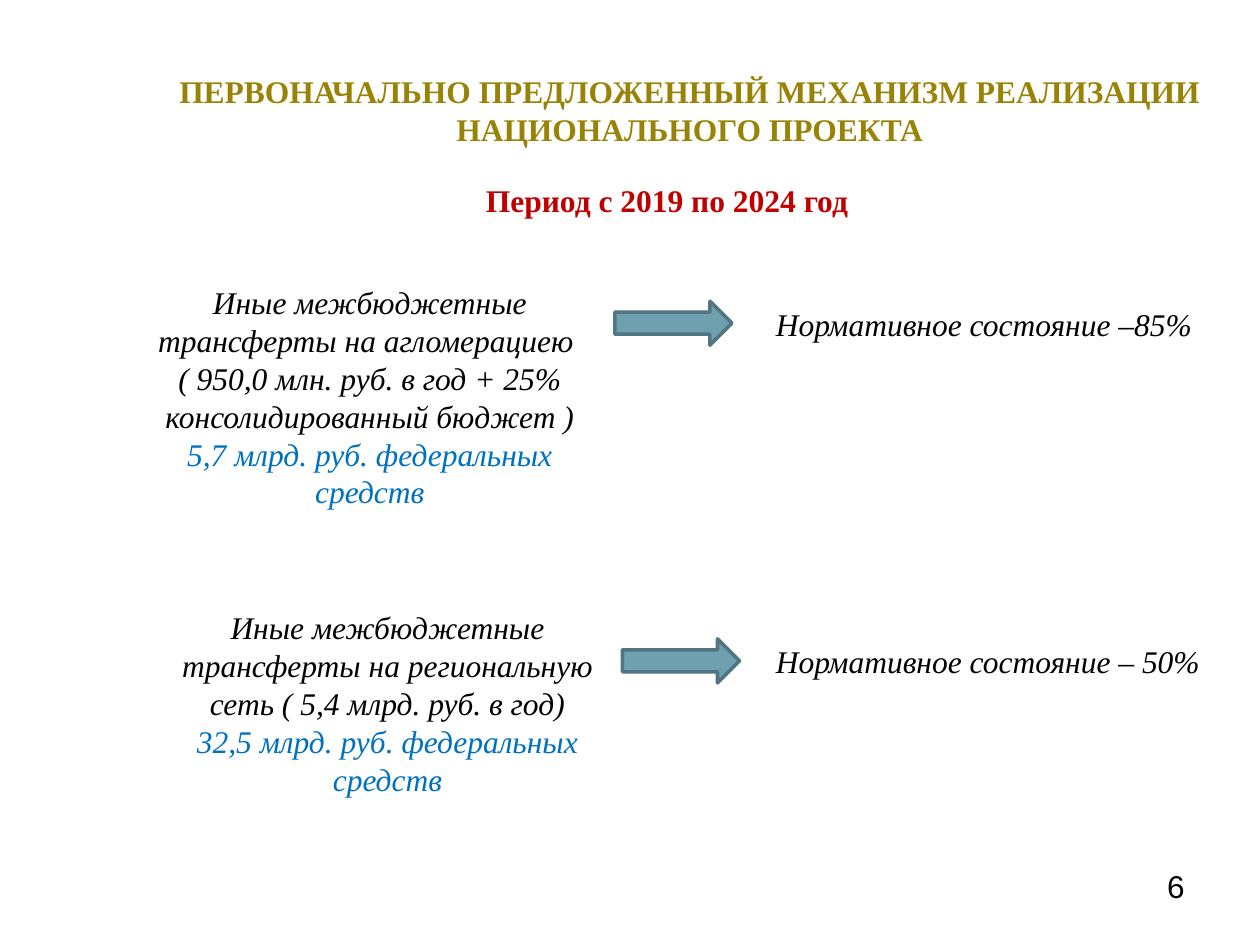
from pptx import Presentation
from pptx.dml.color import RGBColor
from pptx.enum.shapes import MSO_SHAPE
from pptx.enum.text import MSO_ANCHOR, PP_ALIGN
from pptx.util import Inches, Pt

BLACK, BLUE, RED, GOLD = "000000", "0070C0", "C00000", "998307"
ARROW_FILL, ARROW_LINE = "6EA0B0", "517682"
SERIF, SANS = "Times New Roman", "Arial"

# Each row: funding box, funding paragraphs, arrow position, result top, result
ROWS = [
    ((1.08, 2.2, 3.71, 1.92),
     [("Иные межбюджетные трансферты на агломерациею ", BLACK),
      ("( 950,0 млн. руб. в год + 25% консолидированный бюджет )", BLACK),
      ("5,7 млрд. руб. федеральных средств", BLUE)],
     (4.88, 2.39), 2.37, "Нормативное состояние –85%"),
    ((1.22, 4.78, 3.71, 2.22),
     [("Иные межбюджетные трансферты на региональную сеть ( 5,4 млрд. руб. в год)", BLACK),
      ("32,5 млрд. руб. федеральных средств", BLUE)],
     (4.94, 5.07), 5.05, "Нормативное состояние – 50%"),
]


def color(value):
    """Turn a hex string into a colour."""
    return RGBColor.from_string(value)


def add_text(page, area, lines, align=PP_ALIGN.CENTER, font=SERIF,
             bold=False, italic=False):
    """Add a wrapped text box with one paragraph per (text, colour) pair."""
    box = page.shapes.add_textbox(*map(Inches, area))
    frame = box.text_frame
    frame.word_wrap = True
    for index, (text, shade) in enumerate(lines):
        para = frame.add_paragraph() if index else frame.paragraphs[0]
        para.text = text
        para.alignment = align
        para.font.name = font
        para.font.size = Pt(18)
        para.font.bold = bold
        para.font.italic = italic
        para.font.color.rgb = color(shade)
    return box


def add_arrow(page, left, top):
    """Add a block arrow leading from funding to its result."""
    arrow = page.shapes.add_shape(MSO_SHAPE.RIGHT_ARROW, Inches(left), Inches(top),
                                  Inches(0.93), Inches(0.35))
    arrow.shadow.inherit = False
    arrow.fill.solid()
    arrow.fill.fore_color.rgb = color(ARROW_FILL)
    arrow.line.color.rgb = color(ARROW_LINE)
    arrow.line.width = Pt(2)


def main():
    """Build and save the slide."""
    deck = Presentation()
    deck.slide_width, deck.slide_height = Inches(10), Inches(7.5)
    page = deck.slides.add_slide(deck.slide_layouts[6])

    title = add_text(page, (0.95, 0.29, 9.05, 0.88), [
        ("ПЕРВОНАЧАЛЬНО ПРЕДЛОЖЕННЫЙ МЕХАНИЗМ РЕАЛИЗАЦИИ НАЦИОНАЛЬНОГО ПРОЕКТА", GOLD),
    ], bold=True)
    title.text_frame.vertical_anchor = MSO_ANCHOR.BOTTOM
    title.text_frame.margin_bottom = 0
    add_text(page, (1.11, 1.39, 8.37, 0.4), [("Период с 2019 по 2024 год", RED)], bold=True)

    for funding_area, funding, arrow_at, result_top, result in ROWS:
        add_text(page, funding_area, funding, italic=True)
        add_arrow(page, *arrow_at)
        add_text(page, (6.06, result_top, 3.94, 0.4), [(result, BLACK)],
                 PP_ALIGN.LEFT, italic=True)

    add_text(page, (7.17, 6.83, 2.33, 0.52), [("6", BLACK)], PP_ALIGN.RIGHT, SANS)
    deck.save("out.pptx")


main()
